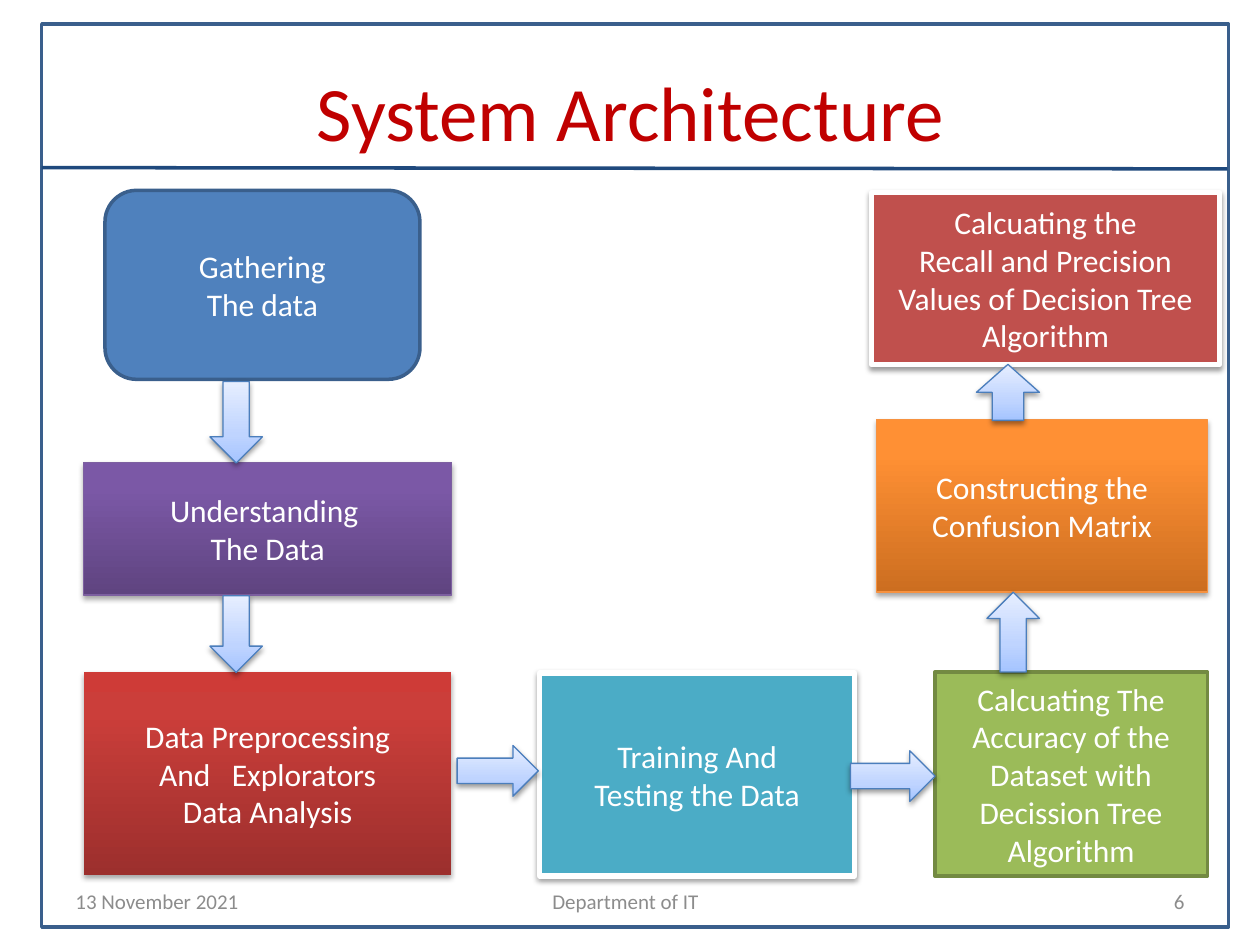
import pptx
import pptx.dml.color
import pptx.enum.shapes
import pptx.enum.text
import pptx.oxml.ns
import pptx.util
from lxml import etree

Pt = pptx.util.Pt
qn = pptx.oxml.ns.qn
Kind = pptx.enum.shapes.MSO_SHAPE
Align = pptx.enum.text.PP_ALIGN
MID = pptx.enum.text.MSO_ANCHOR.MIDDLE


def rgb(code):
    return pptx.dml.color.RGBColor.from_string(code)


class Board:
    font = "Calibri"
    white = "FFFFFF"
    gray = "8C8C8C"
    frame = "3A5F8C"
    sky = [(0, "A4C4FF"), (35, "BFD4FF"), (100, "E6EEFF")]
    soft = (38, 1.6)
    deep = (35, 1.8)

    def __init__(self, deck):
        self.slide = deck.slides.add_slide(deck.slide_layouts[5])
        self.shapes = self.slide.shapes

    def letter(self, frame, lines, size, color, align=Align.CENTER):
        frame.word_wrap = True
        frame.vertical_anchor = MID
        frame.text = "\n".join(lines)
        for para in frame.paragraphs:
            para.alignment = align
            para.font.name = self.font
            para.font.size = Pt(size)
            para.font.color.rgb = rgb(color)

    def title(self, text, box, color):
        shape = self.shapes.title
        shape.left, shape.top, shape.width, shape.height = map(Pt, box)
        self.letter(shape.text_frame, [text], 44, color)

    def label(self, text, box, align):
        shape = self.shapes.add_textbox(*map(Pt, box))
        self.letter(shape.text_frame, [text], 12, self.gray, align)

    def rule(self, start, end, color, width):
        line = self.shapes.add_connector(
            pptx.enum.shapes.MSO_CONNECTOR.STRAIGHT,
            *map(Pt, start + end))
        line.line.color.rgb = rgb(color)
        line.line.width = Pt(width)
        etree.SubElement(line._element.spPr, qn("a:effectLst"))

    def paint(self, shape, fill):
        if fill is None:
            shape.fill.background()
        elif isinstance(fill, str):
            shape.fill.solid()
            shape.fill.fore_color.rgb = rgb(fill)
        else:
            shape.fill.gradient()
            shape.fill.gradient_angle = 90
            stops = shape._element.spPr.find(".//" + qn("a:gsLst"))
            for stop in list(stops):
                stops.remove(stop)
            for pos, color in fill:
                stop = etree.SubElement(stops, qn("a:gs"), pos=str(pos * 1000))
                etree.SubElement(stop, qn("a:srgbClr"), val=color)

    def shade(self, shape, alpha, dist):
        effect = shape._element.spPr.find(qn("a:effectLst"))
        outer = etree.SubElement(
            effect, qn("a:outerShdw"), blurRad=str(Pt(3.1)),
            dist=str(Pt(dist)), dir="5400000", rotWithShape="0")
        color = etree.SubElement(outer, qn("a:srgbClr"), val="000000")
        etree.SubElement(color, qn("a:alpha"), val=str(alpha * 1000))

    def block(self, kind, box, fill, line=None, width=0.75, shadow=None,
              lines=()):
        shape = self.shapes.add_shape(kind, *map(Pt, box))
        shape.shadow.inherit = False
        self.paint(shape, fill)
        if line:
            shape.line.color.rgb = rgb(line)
            shape.line.width = Pt(width)
        else:
            shape.line.fill.background()
        if shadow:
            self.shade(shape, *shadow)
        if lines:
            self.letter(shape.text_frame, lines, 18, self.white)

    def arrow(self, kind, *box):
        self.block(kind, box, self.sky, "4B7EBC", shadow=self.soft)


def main():
    deck = pptx.Presentation()
    deck.slide_width, deck.slide_height = Pt(720), Pt(540)
    board = Board(deck)

    # Frame, footer and title
    board.block(Kind.RECTANGLE, (23.8, 13.7, 678.2, 516.2), None,
                board.frame, 2)
    board.rule((23.8, 95.8), (701.3, 96.5), "1F497D", 2)
    for text, left, width, align in (
            ("13 November 2021", 36, 168, Align.LEFT),
            ("Department of IT", 243.4, 228, Align.CENTER),
            ("6", 516, 168, Align.RIGHT)):
        board.label(text, (left, 500.5, width, 28.8), align)
    board.title("System Architecture", (23.8, 18, 673.2, 90), "C00000")

    # Steps: kind, box, fill, line, line width, shadow, text
    rect = Kind.RECTANGLE
    purple = [(0, "5F4480"), (80, "7B58A6"), (100, "7C57A8")]
    red = [(0, "9C2F2D"), (80, "CB3E3A"), (100, "CE3B37")]
    orange = [(0, "CC6E20"), (80, "FF9034"), (100, "FF9136")]
    steps = (
        (Kind.ROUNDED_RECTANGLE, (60, 108.8, 180, 108), "4F81BD",
         board.frame, 2, None, ("Gathering", "The data")),
        (rect, (47.9, 264.2, 210.2, 75.8), purple,
         "7D60A0", 0.75, board.deep, ("Understanding ", "The Data")),
        (rect, (48, 384, 210, 116), red, None, 0, board.deep,
         ("Data Preprocessing", "And   Explorators", "Data Analysis")),
        (rect, (308.4, 384.6, 180, 116), "4BACC6", board.white, 3,
         board.soft, ("Training And", "Testing the Data")),
        (rect, (534.2, 384, 155.8, 116.6), "9BBB59", "738A42", 2, None,
         ("Calcuating The", "Accuracy of the",
          "Dataset with Decission Tree Algorithm")),
        (rect, (501, 239.8, 189, 98.6), orange, "F69240", 0.75, board.deep,
         ("Constructing the", "Confusion Matrix")),
        (rect, (498, 110, 199, 98.4), "C0504D", board.white, 3, board.soft,
         ("Calcuating the", "Recall and Precision",
          "Values of Decision Tree Algorithm")),
    )
    for step in steps:
        board.block(*step)

    # Arrows between the steps
    board.arrow(Kind.RIGHT_ARROW, 261.2, 426, 46.4, 29)
    board.arrow(Kind.RIGHT_ARROW, 486, 429, 48.4, 29)
    board.arrow(Kind.UP_ARROW, 564, 338.4, 30, 45.6)
    board.arrow(Kind.UP_ARROW, 558, 208.2, 36, 32)
    board.arrow(Kind.DOWN_ARROW, 120, 218, 30, 46.6)
    board.arrow(Kind.DOWN_ARROW, 120, 340.4, 30, 43.8)

    deck.save("out.pptx")


if __name__ == "__main__":
    main()
